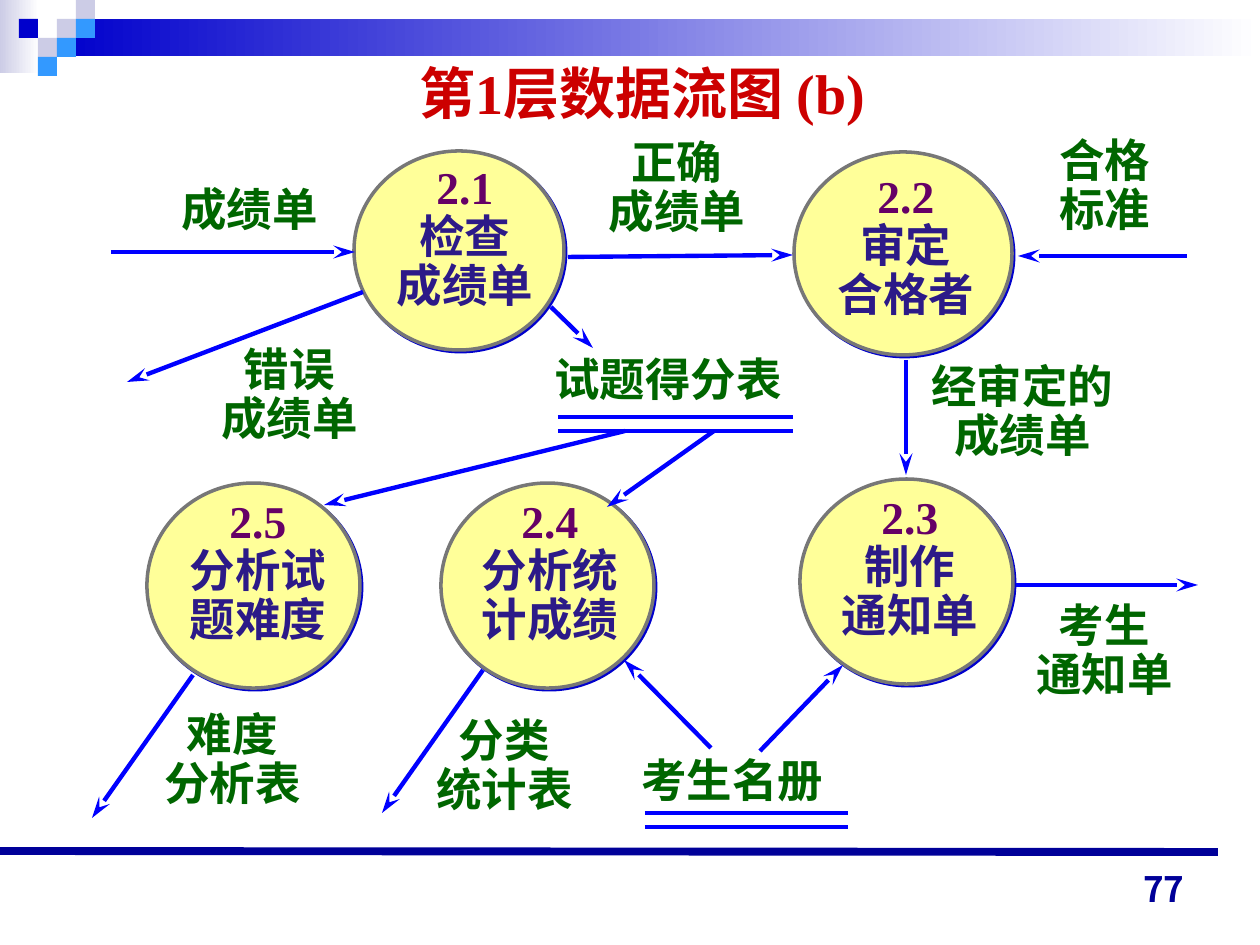
from lxml.etree import SubElement
from pptx import Presentation
from pptx.dml.color import RGBColor
from pptx.enum.shapes import MSO_CONNECTOR as Connector, MSO_SHAPE as Shape
from pptx.enum.text import MSO_ANCHOR as Anchor, MSO_AUTO_SIZE as AutoSize, PP_ALIGN as Align
from pptx.oxml.ns import qn
from pptx.util import Emu, Pt

SCALE = 914400 / 126
COLORS = {
    "white": "FFFFFF", "lavender": "CCCCE6", "sky": "3399FF", "blue": "0000CC",
    "navy": "000099", "flow": "0000FF", "title": "CC0000", "process": "FFFF99",
    "outline": "777777", "number": "660066", "name": "2C1A88", "label": "006600",
}
LATIN, ASIAN = "Times New Roman", "Noto Sans CJK JP"


def px(*lengths):
    """Turn lengths in px into EMU."""
    return [Emu(round(length * SCALE)) for length in lengths]


def rgb(name):
    """Look up a named colour."""
    return RGBColor.from_string(COLORS[name])


def add_text(slide, box, text, size=26, color="label", first_color=None, font=LATIN,
             align=Align.CENTER, spacing=None, anchor=Anchor.TOP, wrap=True, grow=True):
    """Add a bold text box with one paragraph per line of text."""
    frame = slide.shapes.add_textbox(*px(*box)).text_frame
    frame.word_wrap = wrap
    frame.auto_size = AutoSize.SHAPE_TO_FIT_TEXT if grow else AutoSize.NONE
    frame.vertical_anchor = anchor
    for index, line in enumerate(text.split("\n")):
        paragraph = frame.paragraphs[0] if index == 0 else frame.add_paragraph()
        paragraph.alignment = align
        paragraph.line_spacing = spacing
        run = paragraph.add_run()
        run.text = line
        run.font.name, run.font.size, run.font.bold = font, Pt(size), True
        run.font.color.rgb = rgb(first_color if first_color and index == 0 else color)
        SubElement(run.font._element, qn("a:ea"), typeface=ASIAN)


def add_line(slide, start, end, color="flow", width=2.5, arrow=False):
    """Draw a straight line, with a stealth arrowhead at its end if asked."""
    line = slide.shapes.add_connector(Connector.STRAIGHT, *px(*start, *end))
    line.line.color.rgb = rgb(color)
    line.line.width = Pt(width)
    if arrow:
        SubElement(line.line._get_or_add_ln(), qn("a:tailEnd"), type="stealth", w="med", len="lg")
    SubElement(line._element.spPr, qn("a:effectLst"))


def add_block(slide, box, color, fade=False):
    """Add a borderless rectangle, solid or fading to white on the right."""
    shape = slide.shapes.add_shape(Shape.RECTANGLE, *px(*box))
    shape.shadow.inherit = False
    shape.line.fill.background()
    if fade:
        shape.fill.gradient()
        shape.fill.gradient_angle = 0
        for stop, name in zip(shape.fill.gradient_stops, (color, "white")):
            stop.color.rgb = rgb(name)
    else:
        shape.fill.solid()
        shape.fill.fore_color.rgb = rgb(color)


def add_header(slide, box):
    """Draw the fading bands and the checker squares."""
    left, top, width, height = box
    cell = 19
    add_block(slide, (left, top, 39, height), "lavender", fade=True)
    add_block(slide, (left + 3 * cell, top + cell, width - 3 * cell, 37), "blue", fade=True)
    squares = [(3, 1, "lavender"), (4, 0, "lavender"), (4, 1, "sky"), (2, 2, "lavender"),
               (1, 1, "blue"), (3, 2, "sky"), (2, 3, "sky")]
    for column, row, color in squares:
        add_block(slide, (left + column * cell, top + row * cell, cell, cell), color)


def add_process(slide, box, text, inset):
    """Draw a numbered process circle with its hard shadow and text."""
    circle = slide.shapes.add_shape(Shape.OVAL, *px(*box))
    circle.fill.solid()
    circle.fill.fore_color.rgb = rgb("process")
    circle.line.color.rgb = rgb("outline")
    circle.line.width = Pt(2)
    circle.shadow.inherit = False
    effects = circle._element.spPr.find(qn("a:effectLst"))
    shadow = SubElement(effects, qn("a:outerShdw"), blurRad="0", dist="17780",
                        dir="2700000", algn="ctr", rotWithShape="0")
    SubElement(shadow, qn("a:srgbClr"), val=COLORS["blue"])
    add_text(slide, (box[0] + inset[0], box[1] + inset[1], 190, 160), text,
             color="name", first_color="number", spacing=0.9)


def add_store(slide, box, text, wrap=True):
    """Draw a data store: its name above a double line at the bottom of the box."""
    left, top, width, height = box
    add_text(slide, (left - 16, top, width + 50, 67), text, align=Align.LEFT, wrap=wrap)
    for y in (top + height, top + height + 14):
        add_line(slide, (left, y), (left + width, y))


def add_diagram(slide, origin):
    """Place the processes, stores, flows and flow labels from an origin."""
    x, y = origin

    def shift(box):
        """Move a box or point by the origin."""
        return (box[0] + x, box[1] + y, *box[2:])

    processes = [
        ((354, 151, 210, 199), "2.1\n检查\n成绩单", (16, 8)),
        ((794, 152, 218, 203), "2.2\n审定\n合格者", (17, 16)),
        ((800, 479, 213, 205), "2.3\n制作\n通知单", (15, 10)),
        ((441, 483, 213, 205), "2.4\n分析统\n计成绩", (14, 10)),
        ((147, 483, 213, 205), "2.5\n分析试\n题难度", (16, 10)),
    ]
    for box, text, inset in processes:
        add_process(slide, shift(box), text, inset)
    add_store(slide, shift((558, 345, 235, 72)), "试题得分表")
    add_store(slide, shift((645, 746, 203, 67)), "考生名册", wrap=False)
    flows = [
        ((111, 252), (355, 252)), ((568, 257), (793, 255)), ((1187, 256), (1018, 256)),
        ((363, 292), (127, 382)), ((551, 307), (593, 348)), ((906, 360), (906, 475)),
        ((625, 431), (324, 505)), ((714, 431), (607, 507)), ((1016, 585), (1198, 585)),
        ((193, 675), (92, 818)), ((483, 670), (382, 813)), ((711, 748), (624, 660)),
        ((760, 751), (843, 665)),
    ]
    for start, end in flows:
        add_line(slide, shift(start), shift(end), arrow=True)
    labels = [
        ((571, 134, 212, 111), "正确\n成绩单"), ((1003, 597, 203, 111), "考生\n通知单"),
        ((136, 706, 193, 111), "难度\n分析表"), ((408, 712, 193, 111), "分类\n统计表"),
        ((192, 341, 195, 111), "错误\n成绩单"), ((887, 358, 271, 111), "经审定的\n成绩单"),
    ]
    for box, text in labels:
        add_text(slide, shift(box), text, spacing=0.9)
    add_text(slide, shift((1047, 132, 134, 111)), "合格\n标准", align=Align.LEFT, spacing=0.9)
    add_text(slide, shift((134, 175, 231, 67)), "成绩单")


def add_footer(slide, box):
    """Draw the rule along the top of the box and the page number below it."""
    left, top, width, height = box
    add_line(slide, (left, top), (left + width, top + 1), color="navy", width=4.5)
    add_text(slide, (left + 903, top + 2, 294, height - 2), "77", size=20, color="navy",
             font=ASIAN, align=Align.RIGHT, anchor=Anchor.BOTTOM, grow=False)


def main():
    """Build and save the slide."""
    presentation = Presentation()
    presentation.slide_width, presentation.slide_height = px(1260, 945)
    slide = presentation.slides.add_slide(presentation.slide_layouts[6])
    add_header(slide, (0, 0, 1260, 73))
    add_text(slide, (344, 52, 596, 79), "第1层数据流图 (b)", size=32, color="title")
    add_diagram(slide, (0, 0))
    add_footer(slide, (0, 851, 1218, 65))
    presentation.save("out.pptx")


if __name__ == "__main__":
    main()
